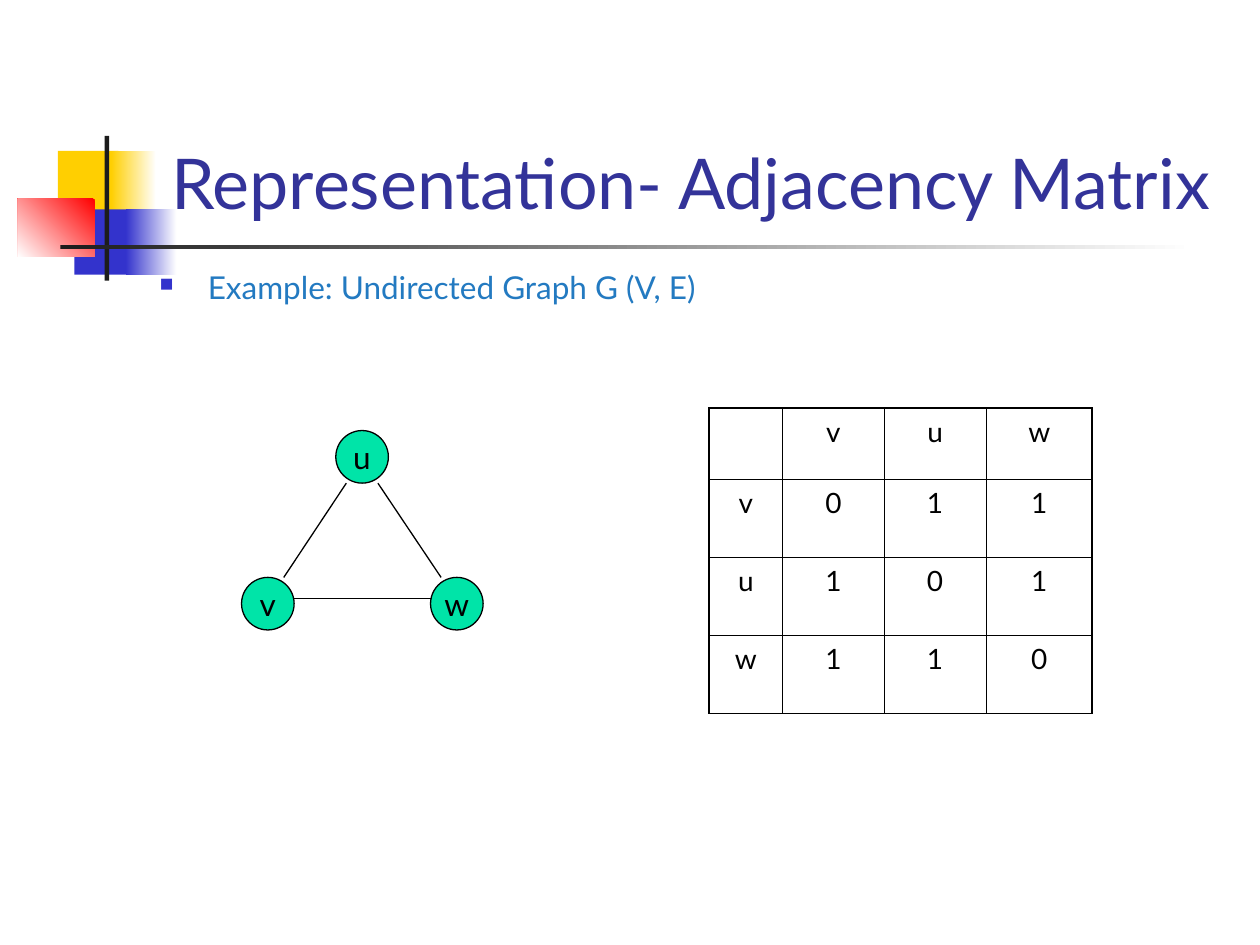
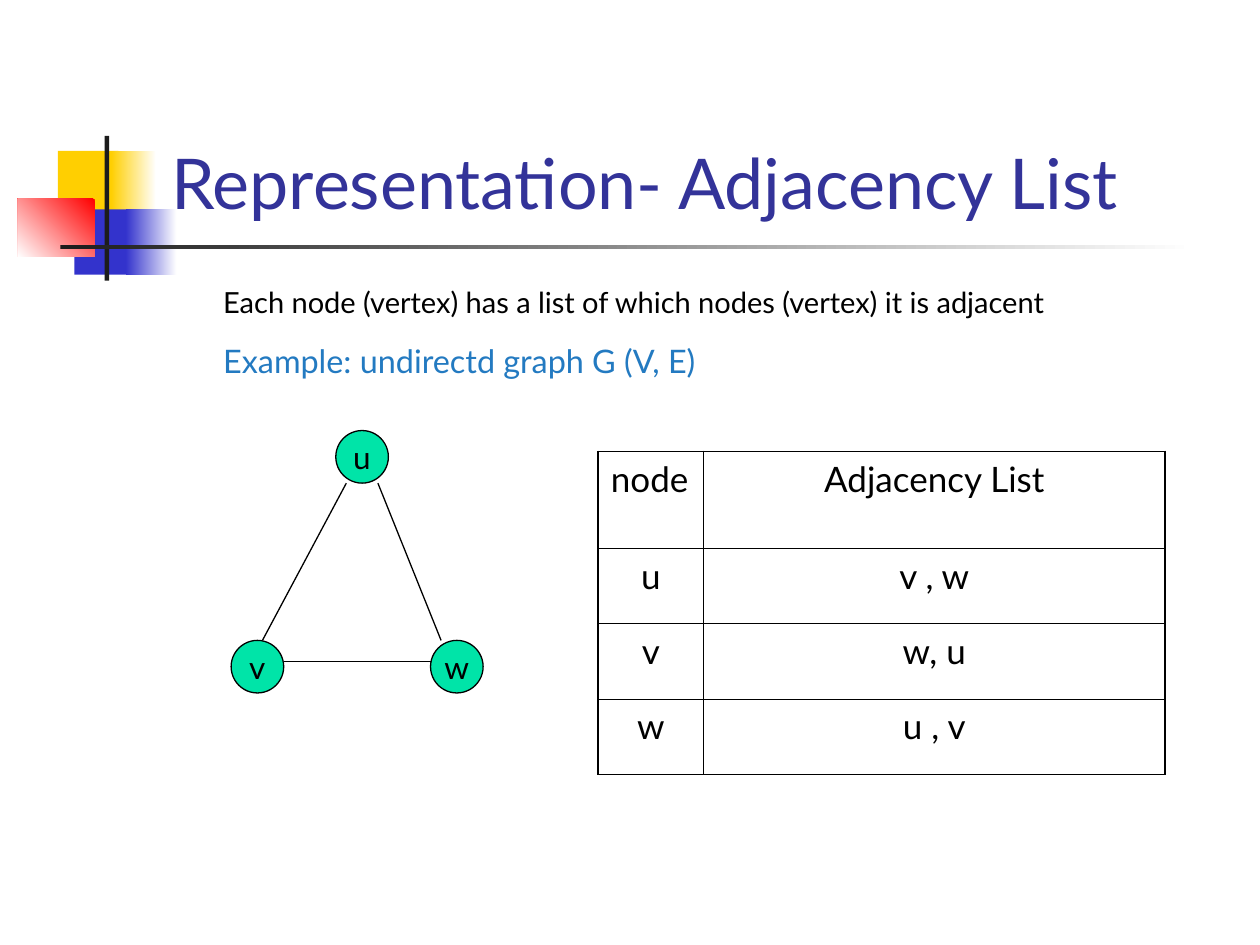
from dataclasses import dataclass

from lxml import etree
from pptx import Presentation
from pptx.dml.color import RGBColor
from pptx.enum.shapes import MSO_CONNECTOR, MSO_SHAPE
from pptx.enum.text import MSO_ANCHOR, MSO_AUTO_SIZE, PP_ALIGN
from pptx.oxml.ns import qn
from pptx.util import Cm, Pt


@dataclass(frozen=True)
class Theme:
    font: str = "Lato"
    ink: str = "000000"
    heading: str = "333399"
    example: str = "237AC1"
    node: str = "00E4A8"
    yellow: str = "FFCF01"
    blue: str = "3333CC"
    red: str = "FF0000"
    bar: str = "1C1C1C"
    paper: str = "FFFFFF"
    title_size: float = 40
    node_size: float = 18
    edge_width: float = 0.75
    inner_border: float = 0.45
    outer_border: float = 1.08


THEME = Theme()

TITLE_BOX = (3.2, 0.58, 21.64, 4.06)
BULLET_INDENT = 0.97
NODE_DIAMETER = 1.06

# left, top, width, height, colour, angle of the fade to paper
ORNAMENT = [
    (1.17, 3.04, 1.22, 1.32, THEME.yellow, None),
    (2.24, 3.04, 0.91, 1.32, THEME.yellow, 0),
    (1.5, 4.22, 1.17, 1.32, THEME.blue, None),
    (2.54, 4.22, 1.02, 1.32, THEME.blue, 0),
    (0.36, 4.01, 1.55, 1.17, THEME.red, 225),
    (2.11, 2.74, 0.09, 2.92, THEME.bar, None),
    (1.22, 4.94, 22.86, 0.09, THEME.bar, 0),
]

SLIDES = [
    {
        "title": "Representation- Adjacency Matrix",
        "body_box": (2.97, 5.28, 18.62, 1.7),
        "body": [("Example: Undirected Graph G (V, E)", 18, THEME.example, 4.5, "■")],
        "nodes": {"u": (6.77, 8.68), "v": (4.87, 11.64), "w": (8.68, 11.64)},
        "v_attach": 0.85,
        "table": {
            "at": (14.29, 8.23),
            "columns": [1.49, 2.04, 2.06, 2.14],
            "rows": [1.44, 1.57, 1.57, 1.57],
            "size": 16,
            "space": 4,
            "left_aligned": [],
            "cells": [
                ["", "v", "u", "w"],
                ["v", "0", "1", "1"],
                ["u", "1", "0", "1"],
                ["w", "1", "1", "0"],
            ],
        },
    },
    {
        "title": "Representation- Adjacency List",
        "body_box": (3.28, 5.61, 20.42, 2.44),
        "body": [
            ("Each node (vertex) has a list of which nodes (vertex) it is adjacent",
             16.6, THEME.ink, 4.5, None),
            ("Example: undirectd graph G (V, E)", 18.5, THEME.example, 12.3, None),
        ],
        "nodes": {"u": (6.77, 8.68), "v": (4.66, 12.91), "w": (8.68, 12.91)},
        "v_attach": 0.63,
        "table": {
            "at": (12.06, 9.1),
            "columns": [2.12, 9.31],
            "rows": [1.95, 1.52, 1.52, 1.52],
            "size": 20,
            "space": 5,
            "left_aligned": ["node"],
            "cells": [
                ["node", "Adjacency List"],
                ["u", "v , w"],
                ["v", "w, u"],
                ["w", "u , v"],
            ],
        },
    },
]


def lengths(values):
    return [Cm(value) for value in values]


def colour(value):
    return RGBColor.from_string(value)


def add_text(paragraph, text, size, ink, align=PP_ALIGN.LEFT):
    paragraph.alignment = align
    run = paragraph.add_run()
    run.text = text
    run.font.name = THEME.font
    run.font.size = Pt(size)
    run.font.color.rgb = colour(ink)


def add_filled(slide, preset, box, fill):
    shape = slide.shapes.add_shape(preset, *lengths(box))
    shape.shadow.inherit = False
    shape.fill.solid()
    shape.fill.fore_color.rgb = colour(fill)
    shape.line.fill.background()
    return shape


def add_ornament(slide):
    for *box, ink, fade_angle in ORNAMENT:
        part = add_filled(slide, MSO_SHAPE.RECTANGLE, box, ink)
        if fade_angle is not None:
            part.fill.gradient()
            part.fill.gradient_angle = fade_angle
            for stop, tint in zip(part.fill.gradient_stops, (ink, THEME.paper)):
                stop.color.rgb = colour(tint)


def add_title(slide, text):
    title = slide.shapes.title
    title.left, title.top, title.width, title.height = lengths(TITLE_BOX)
    frame = title.text_frame
    frame.auto_size = MSO_AUTO_SIZE.NONE
    frame.vertical_anchor = MSO_ANCHOR.BOTTOM
    add_text(frame.paragraphs[0], text, THEME.title_size, THEME.heading)
    title.element.getparent().append(title.element)


def indent(paragraph, bullet):
    properties = paragraph._p.get_or_add_pPr()
    properties.set("marL", str(Cm(BULLET_INDENT)))
    properties.set("indent", str(-Cm(BULLET_INDENT) if bullet else 0))
    if bullet:
        tint = etree.SubElement(properties, qn("a:buClr"))
        etree.SubElement(tint, qn("a:srgbClr"), val=THEME.blue)
        etree.SubElement(properties, qn("a:buSzPct"), val="60000")
        etree.SubElement(properties, qn("a:buChar"), char=bullet)


def add_body(slide, box, lines):
    frame = slide.shapes.add_textbox(*lengths(box)).text_frame
    frame.word_wrap = True
    for index, (text, size, ink, space, bullet) in enumerate(lines):
        paragraph = frame.add_paragraph() if index else frame.paragraphs[0]
        paragraph.space_before = Pt(space)
        indent(paragraph, bullet)
        add_text(paragraph, text, size, ink)


def add_edge(slide, start, end):
    edge = slide.shapes.add_connector(MSO_CONNECTOR.STRAIGHT, *lengths(start + end))
    edge.line.color.rgb = colour(THEME.ink)
    edge.line.width = Pt(THEME.edge_width)
    etree.SubElement(edge.element.spPr, qn("a:effectLst"))


def add_graph(slide, nodes, v_attach):
    for label, corner in nodes.items():
        box = (*corner, NODE_DIAMETER, NODE_DIAMETER)
        node = add_filled(slide, MSO_SHAPE.OVAL, box, THEME.node)
        node.line.color.rgb = colour(THEME.ink)
        node.line.width = Pt(THEME.edge_width)
        frame = node.text_frame
        frame.word_wrap = False
        frame.vertical_anchor = MSO_ANCHOR.MIDDLE
        add_text(frame.paragraphs[0], label, THEME.node_size, THEME.ink, PP_ALIGN.CENTER)

    (u_left, u_top), (v_left, v_top), (w_left, w_top) = (nodes[name] for name in "uvw")
    u_bottom = u_top + NODE_DIAMETER
    base = v_top + 0.4 * NODE_DIAMETER
    add_edge(slide, (v_left + NODE_DIAMETER, base), (w_left, base))
    add_edge(slide, (u_left + 0.8 * NODE_DIAMETER, u_bottom),
             (w_left + 0.2 * NODE_DIAMETER, w_top))
    add_edge(slide, (u_left + 0.2 * NODE_DIAMETER, u_bottom), (v_left + v_attach, v_top))


def set_borders(cell, outer_sides):
    properties = cell._tc.get_or_add_tcPr()
    for index, (side, is_outer) in enumerate(zip("LRTB", outer_sides)):
        width = THEME.outer_border if is_outer else THEME.inner_border
        border = etree.Element(qn(f"a:ln{side}"), w=str(Pt(width)))
        fill = etree.SubElement(border, qn("a:solidFill"))
        etree.SubElement(fill, qn("a:srgbClr"), val=THEME.ink)
        properties.insert(index, border)


def add_adjacency(slide, at, columns, rows, size, space, left_aligned, cells):
    extent = (*at, sum(columns), sum(rows))
    table = slide.shapes.add_table(len(rows), len(columns), *lengths(extent)).table
    table.first_row = table.horz_banding = False
    for column, width in zip(table.columns, columns):
        column.width = Cm(width)
    for row, height in zip(table.rows, rows):
        row.height = Cm(height)
    last_row, last_column = len(rows) - 1, len(columns) - 1
    for r, texts in enumerate(cells):
        for c, text in enumerate(texts):
            cell = table.cell(r, c)
            cell.fill.background()
            set_borders(cell, (c == 0, c == last_column, r == 0, r == last_row))
            if text:
                paragraph = cell.text_frame.paragraphs[0]
                paragraph.space_before = Pt(space)
                align = PP_ALIGN.LEFT if text in left_aligned else PP_ALIGN.CENTER
                add_text(paragraph, text, size, THEME.ink, align)


def main():
    deck = Presentation()
    deck.slide_width, deck.slide_height = Cm(25.4), Cm(19.05)
    for content in SLIDES:
        slide = deck.slides.add_slide(deck.slide_layouts[5])
        add_ornament(slide)
        add_title(slide, content["title"])
        add_body(slide, content["body_box"], content["body"])
        add_graph(slide, content["nodes"], content["v_attach"])
        add_adjacency(slide, **content["table"])
    deck.save("out.pptx")


if __name__ == "__main__":
    main()
